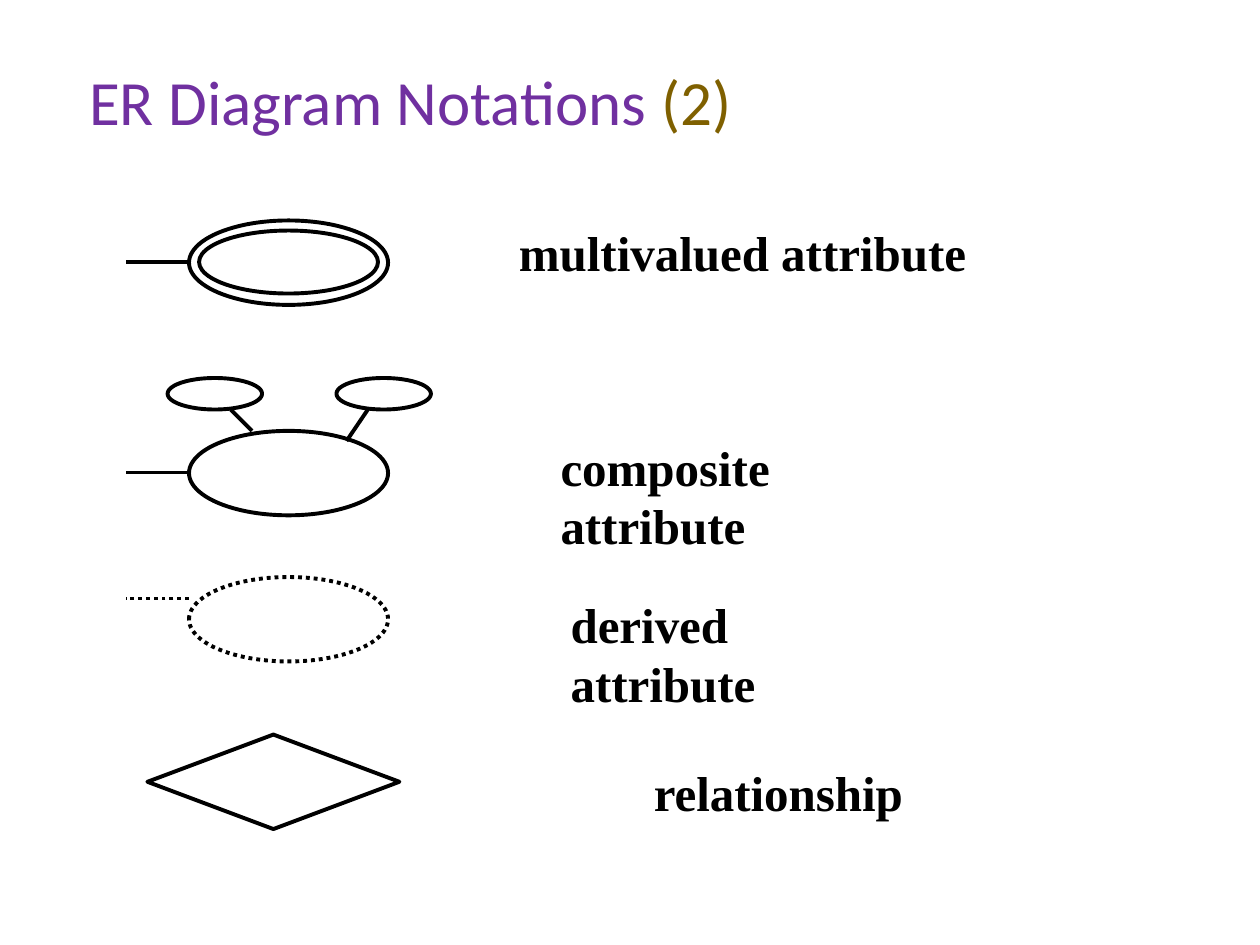
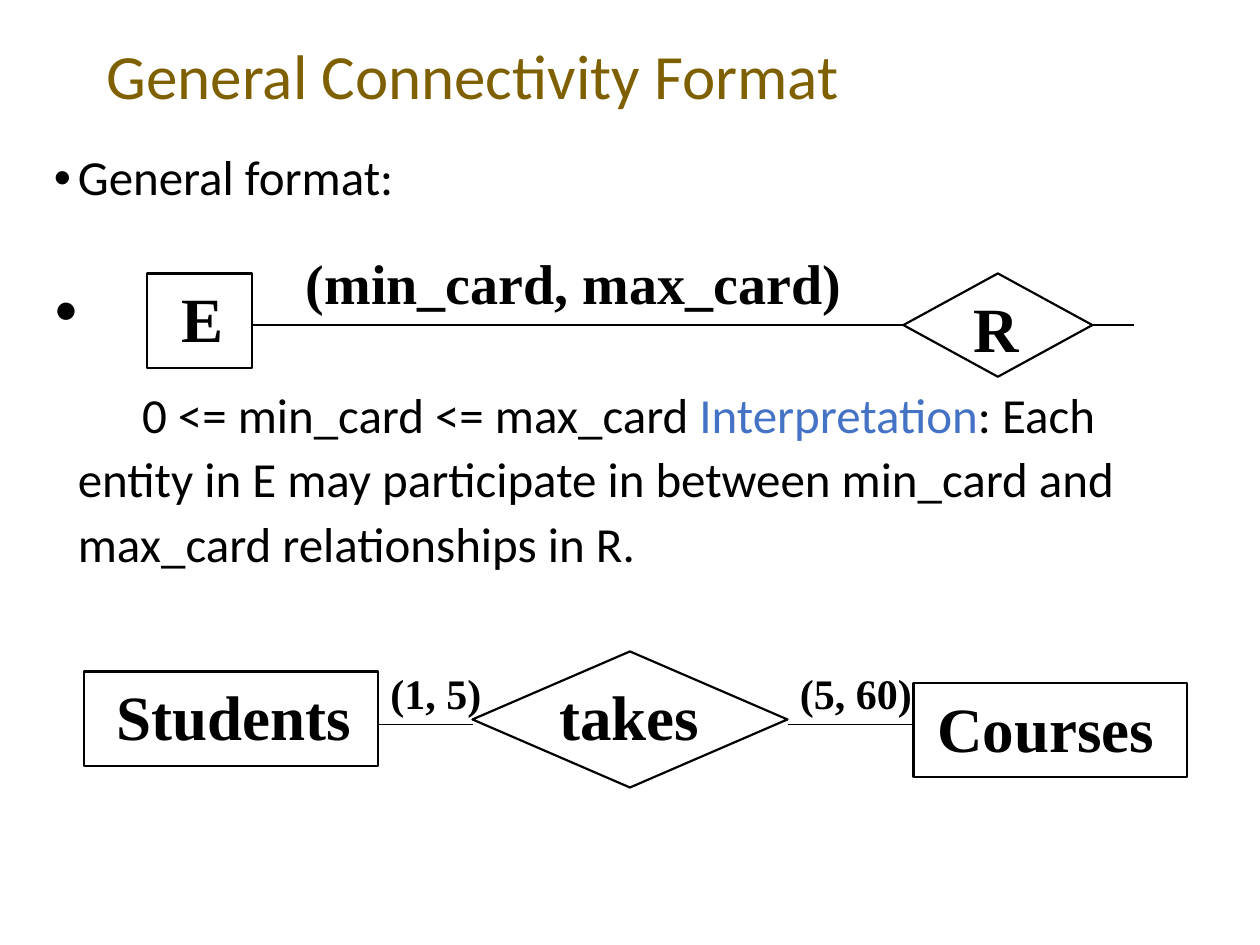
import dataclasses
import typing

import lxml.etree
import pptx
import pptx.dml.color
import pptx.enum.dml
import pptx.enum.shapes
import pptx.enum.text
import pptx.oxml.ns
import pptx.util

Inches = pptx.util.Inches
Pt = pptx.util.Pt
ShapeKind = pptx.enum.shapes.MSO_SHAPE
DOTTED = pptx.enum.dml.MSO_LINE.ROUND_DOT

COLOURS = {
    "ink": "000000",
    "purple": "7030A0",
    "brown": "7F6000",
    "blue": "4472C4",
}
BODY_FONT = "Calibri"
DIAGRAM_FONT = "Times New Roman"
TITLE_SIZE = 36
BODY_SIZE = 28
TOP, LEFT, BOTTOM, RIGHT = range(4)  # connection sites

Run = tuple[str, str]  # text and colour name


@dataclasses.dataclass(frozen=True)
class Outline:
    kind: typing.Any
    left: float
    top: float
    width: float
    height: float
    dash: typing.Any = None


@dataclasses.dataclass(frozen=True)
class Line:
    start: tuple[float, float]
    end: tuple[float, float]
    dash: typing.Any = None


@dataclasses.dataclass(frozen=True)
class Label:
    text: str
    left: float
    top: float
    width: float
    height: float
    size: float


@dataclasses.dataclass(frozen=True)
class BodyParagraph:
    runs: list[Run]
    space_before: float
    line_spacing: float = 0.9
    first_line: float = -0.19
    bullet: bool = False


# Shared drawing functions
def colour(name: str) -> pptx.dml.color.RGBColor:
    return pptx.dml.color.RGBColor.from_string(COLOURS[name])


def write_text(paragraph, text: str, *, font: str, size: float,
               color: str = "ink", bold: bool = False) -> None:
    run = paragraph.add_run()
    run.text = text
    run.font.name = font
    run.font.size = Pt(size)
    run.font.bold = bold
    run.font.color.rgb = colour(color)


def add_text_frame(slide, left: float, top: float, width: float, height: float,
                   wrap: bool = True):
    box = slide.shapes.add_textbox(
        Inches(left), Inches(top), Inches(width), Inches(height))
    box.text_frame.word_wrap = wrap
    return box.text_frame


def style_line(line, weight: float, dash=None) -> None:
    line.color.rgb = colour("ink")
    line.width = Pt(weight)
    if dash is not None:
        line.dash_style = dash


def draw_title(slide, runs: list[Run], left: float, top: float,
               width: float, height: float) -> None:
    frame = add_text_frame(slide, left, top, width, height)
    frame.vertical_anchor = pptx.enum.text.MSO_ANCHOR.MIDDLE
    paragraph = frame.paragraphs[0]
    paragraph.line_spacing = 0.9
    for text, color in runs:
        write_text(paragraph, text, font=BODY_FONT, size=TITLE_SIZE, color=color)


def draw_label(slide, label: Label) -> None:
    frame = add_text_frame(
        slide, label.left, label.top, label.width, label.height, wrap=False)
    frame.auto_size = pptx.enum.text.MSO_AUTO_SIZE.SHAPE_TO_FIT_TEXT
    write_text(frame.paragraphs[0], label.text,
               font=DIAGRAM_FONT, size=label.size, bold=True)


def draw_outline(slide, outline: Outline, weight: float):
    shape = slide.shapes.add_shape(
        outline.kind, Inches(outline.left), Inches(outline.top),
        Inches(outline.width), Inches(outline.height))
    shape.shadow.inherit = False
    shape.fill.background()
    style_line(shape.line, weight, outline.dash)
    return shape


def draw_line(slide, line: Line, weight: float):
    connector = slide.shapes.add_connector(
        pptx.enum.shapes.MSO_CONNECTOR.STRAIGHT,
        *(Inches(value) for value in line.start + line.end))
    style_line(connector.line, weight, line.dash)
    lxml.etree.SubElement(
        connector._element.spPr, pptx.oxml.ns.qn("a:effectLst"))
    return connector


def add_bullet(properties) -> None:
    bullet_colour = lxml.etree.SubElement(properties, pptx.oxml.ns.qn("a:buClr"))
    lxml.etree.SubElement(
        bullet_colour, pptx.oxml.ns.qn("a:srgbClr"), val=COLOURS["ink"])
    lxml.etree.SubElement(
        properties, pptx.oxml.ns.qn("a:buFont"), typeface="Arial")
    lxml.etree.SubElement(properties, pptx.oxml.ns.qn("a:buChar"), char="•")


def draw_body(slide, body: list[BodyParagraph]) -> None:
    frame = add_text_frame(slide, 0.33, 1.17, 9.33, 6)
    for index, item in enumerate(body):
        paragraph = frame.add_paragraph() if index else frame.paragraphs[0]
        paragraph.line_spacing = item.line_spacing
        paragraph.space_before = Pt(item.space_before)
        properties = paragraph._p.get_or_add_pPr()
        properties.set("marL", str(Inches(0.19)))
        properties.set("indent", str(Inches(item.first_line)))
        if item.bullet:
            add_bullet(properties)
        for text, color in item.runs:
            write_text(paragraph, text, font=BODY_FONT, size=BODY_SIZE, color=color)


# Slide 1: notation symbols with their names
def attribute_ellipse(top: float, dash=None) -> Outline:
    return Outline(ShapeKind.OVAL, 1.5, top, 1.58, 0.67, dash)


def stem(y: float, dash=None) -> Line:
    return Line((1.5, y), (1, y), dash)


def build_notations(slide) -> None:
    draw_title(slide, [("ER Diagram Notations ", "purple"), ("(2)", "brown")],
               0.61, 0.11, 8.62, 1.45)
    symbols = [
        attribute_ellipse(1.75),
        Outline(ShapeKind.OVAL, 1.58, 1.83, 1.42, 0.5),
        attribute_ellipse(3.42),
        Outline(ShapeKind.OVAL, 1.33, 3, 0.75, 0.25),
        Outline(ShapeKind.OVAL, 2.67, 3, 0.75, 0.25),
        attribute_ellipse(4.58, DOTTED),
        Outline(ShapeKind.DIAMOND, 1.17, 5.83, 2, 0.75),
    ]
    lines = [
        stem(2.08),
        stem(3.75),
        stem(4.75, DOTTED),
        Line((1.83, 3.25), (2, 3.42)),
        Line((2.92, 3.25), (2.75, 3.5)),
    ]
    names = [
        Label("multivalued attribute", 4.02, 1.72, 3.75, 0.57, 28),
        Label("composite attribute", 4.35, 3.42, 3.42, 0.57, 28),
        Label("derived attribute", 4.43, 4.67, 3.01, 0.57, 28),
        Label("relationship", 5.09, 6, 2.18, 0.57, 28),
    ]
    for symbol in symbols:
        draw_outline(slide, symbol, 2.25)
    for line in lines:
        draw_line(slide, line, 2.25)
    for name in names:
        draw_label(slide, name)


# Slide 2: cardinality limits, in general and by example
def build_connectivity(slide) -> None:
    draw_title(slide, [("General Connectivity Format", "brown")],
               0.75, 0.25, 8.5, 0.75)
    draw_body(slide, [
        BodyParagraph([("General format:", "ink")], 7.5, bullet=True),
        BodyParagraph([("•", "ink")], 44),
        BodyParagraph([
            ("0 <= min_card <= max_card ", "ink"),
            ("Interpretation", "blue"),
            (": Each entity in E may participate in between min_card and "
             "max_card relationships in R.", "ink"),
        ], 24, line_spacing=1.1, first_line=0.51),
    ])

    outlines = [
        Outline(ShapeKind.RECTANGLE, 1.17, 2.17, 0.83, 0.75),
        Outline(ShapeKind.RECTANGLE, 0.67, 5.33, 2.33, 0.75),
        Outline(ShapeKind.DIAMOND, 3.75, 5.17, 2.5, 1.08),
        Outline(ShapeKind.RECTANGLE, 7.25, 5.42, 2.17, 0.75),
    ]
    for outline in outlines:
        draw_outline(slide, outline, 1.25)
    relationship = draw_outline(
        slide, Outline(ShapeKind.DIAMOND, 7.17, 2.17, 1.5, 0.82), 1.25)

    entity_line = draw_line(slide, Line((2, 2.58), (7.17, 2.58)), 0.75)
    entity_line.end_connect(relationship, LEFT)
    open_line = draw_line(slide, Line((8.67, 2.58), (9, 2.58)), 0.75)
    open_line.begin_connect(relationship, RIGHT)
    for start, end in [(3, 3.75), (6.25, 7.25)]:
        draw_line(slide, Line((start, 5.75), (end, 5.75)), 0.75)

    labels = [
        Label("E", 1.34, 2.17, 0.53, 0.7, 36),
        Label("(min_card, max_card)", 2.33, 1.92, 4.45, 0.64, 32),
        Label("R", 7.63, 2.25, 0.56, 0.7, 36),
        Label("Students", 0.83, 5.33, 2.06, 0.7, 36),
        Label("(1, 5)", 3, 5.25, 0.92, 0.5, 24),
        Label("takes", 4.34, 5.33, 1.31, 0.7, 36),
        Label("(5, 60)", 6.25, 5.25, 1.09, 0.5, 24),
        Label("Courses", 7.34, 5.42, 1.92, 0.7, 36),
    ]
    for label in labels:
        draw_label(slide, label)


def main() -> None:
    presentation = pptx.Presentation()
    presentation.slide_width = Inches(10)
    presentation.slide_height = Inches(7.5)
    blank_layout = presentation.slide_layouts[6]
    for build in (build_notations, build_connectivity):
        build(presentation.slides.add_slide(blank_layout))
    presentation.save("out.pptx")


if __name__ == "__main__":
    main()
